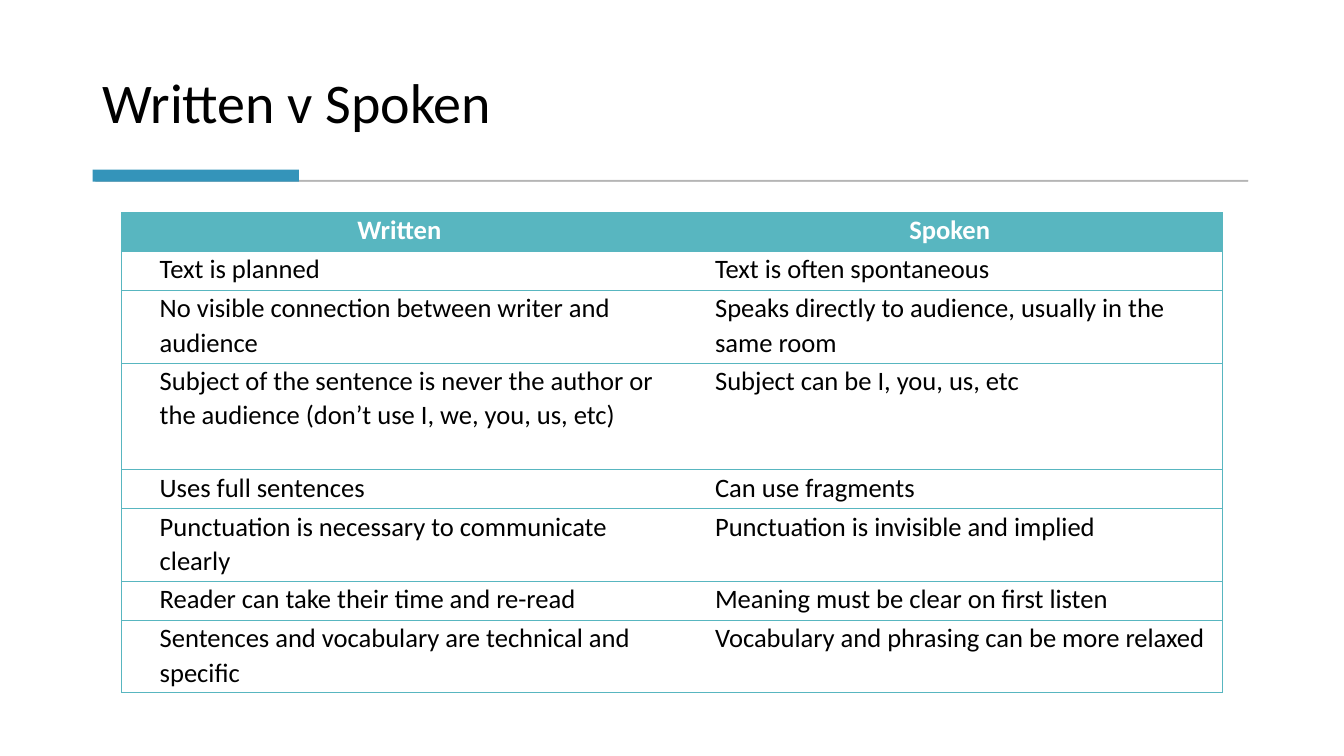
from lxml import etree
from pptx import Presentation
from pptx.dml.color import RGBColor
from pptx.enum import shapes, text
from pptx.oxml import ns
from pptx.util import Pt

# Content
HEADING = "Written v Spoken"
COMPARISON = [
    ("Written", "Spoken"),
    ("Text is planned", "Text is often spontaneous"),
    ("No visible connection between writer and audience",
     "Speaks directly to audience, usually in the same room"),
    ("Subject of the sentence is never the author or the audience (don’t use I, we, you, us, etc)",
     "Subject can be I, you, us, etc"),
    ("Uses full sentences", "Can use fragments"),
    ("Punctuation is necessary to communicate clearly",
     "Punctuation is invisible and implied"),
    ("Reader can take their time and re-read", "Meaning must be clear on first listen"),
    ("Sentences and vocabulary are technical and specific",
     "Vocabulary and phrasing can be more relaxed"),
]

# Format
FONT = "Calibri"
BLACK = RGBColor(0, 0, 0)
WHITE = RGBColor(0xFF, 0xFF, 0xFF)
GREY = RGBColor(0x59, 0x59, 0x59)
BLUE = RGBColor(0x34, 0x94, 0xBA)
TEAL = RGBColor(0x58, 0xB6, 0xC0)
COLUMN_WIDTHS = (396.7, 389.5)
ONE_LINE, TWO_LINES, THREE_LINES = 27.9, 51.8, 76.2
ROW_HEIGHTS = (ONE_LINE, ONE_LINE, TWO_LINES, THREE_LINES,
               ONE_LINE, TWO_LINES, ONE_LINE, TWO_LINES)
CELL_FORMAT = {"margin_left": Pt(9.2), "margin_right": Pt(9.2),
               "margin_top": 0, "margin_bottom": 0}
PARAGRAPH_FORMAT = {"line_spacing": 1.07, "space_after": Pt(8)}


def apply(target, values):
    for name, value in values.items():
        setattr(target, name, value)


def set_font(font, size, color, bold=False):
    apply(font, {"name": FONT, "size": Pt(size), "bold": bold})
    font.color.rgb = color


def add_bar(slide, left, top, width, height, color):
    bar = slide.shapes.add_shape(shapes.MSO_SHAPE.RECTANGLE,
                                 Pt(left), Pt(top), Pt(width), Pt(height))
    bar.shadow.inherit = False
    bar.fill.solid()
    bar.fill.fore_color.rgb = color
    bar.line.fill.background()
    return bar


def set_borders(cell, visible_sides):
    properties = cell._tc.get_or_add_tcPr()
    for side in "LRTB":
        border = etree.SubElement(properties, ns.qn(f"a:ln{side}"), w=str(Pt(0.5)))
        if side in visible_sides:
            fill = etree.SubElement(border, ns.qn("a:solidFill"))
            etree.SubElement(fill, ns.qn("a:srgbClr"), val=str(TEAL))
        else:
            etree.SubElement(border, ns.qn("a:noFill"))


def add_heading(slide):
    heading = slide.shapes.add_textbox(Pt(66.2), Pt(20.2), Pt(827.3), Pt(79.9))
    frame = heading.text_frame
    apply(frame, {"word_wrap": True, "vertical_anchor": text.MSO_ANCHOR.BOTTOM})
    paragraph = frame.paragraphs[0]
    paragraph.text = HEADING
    paragraph.line_spacing = 0.9
    set_font(paragraph.font, 40, BLACK)


def add_rule(slide):
    rule = add_bar(slide, 68.4, 128.8, 823, 0.7, GREY)
    rule.line.color.rgb = GREY
    rule.line.width = Pt(0.75)
    for color in rule._element.spPr.iter(ns.qn("a:srgbClr")):
        etree.SubElement(color, ns.qn("a:alpha"), val="30000")
    add_bar(slide, 66.2, 121.1, 147.4, 8.6, BLUE)


def add_comparison(slide):
    table = slide.shapes.add_table(
        len(ROW_HEIGHTS), len(COLUMN_WIDTHS), Pt(86.9), Pt(151.7),
        Pt(sum(COLUMN_WIDTHS)), Pt(sum(ROW_HEIGHTS))).table
    apply(table, {"first_row": False, "horz_banding": False})
    for column, width in zip(table.columns, COLUMN_WIDTHS):
        column.width = Pt(width)
    for row, height in zip(table.rows, ROW_HEIGHTS):
        row.height = Pt(height)

    for r, statements in enumerate(COMPARISON):
        is_header = r == 0
        for c, statement in enumerate(statements):
            cell = table.cell(r, c)
            apply(cell, CELL_FORMAT)
            set_borders(cell, "LTB" if c == 0 else "RTB")
            paragraph = cell.text_frame.paragraphs[0]
            paragraph.text = statement
            apply(paragraph, PARAGRAPH_FORMAT)
            if is_header:
                cell.fill.solid()
                cell.fill.fore_color.rgb = TEAL
                paragraph.alignment = text.PP_ALIGN.CENTER
            else:
                cell.fill.background()
                paragraph._p.get_or_add_pPr().set("marL", str(Pt(18)))
            set_font(paragraph.font, 19, WHITE if is_header else BLACK, is_header)


def main():
    deck = Presentation()
    apply(deck, {"slide_width": Pt(960), "slide_height": Pt(540)})
    slide = deck.slides.add_slide(deck.slide_layouts[6])
    add_heading(slide)
    add_rule(slide)
    add_comparison(slide)
    deck.save("out.pptx")


if __name__ == "__main__":
    main()
